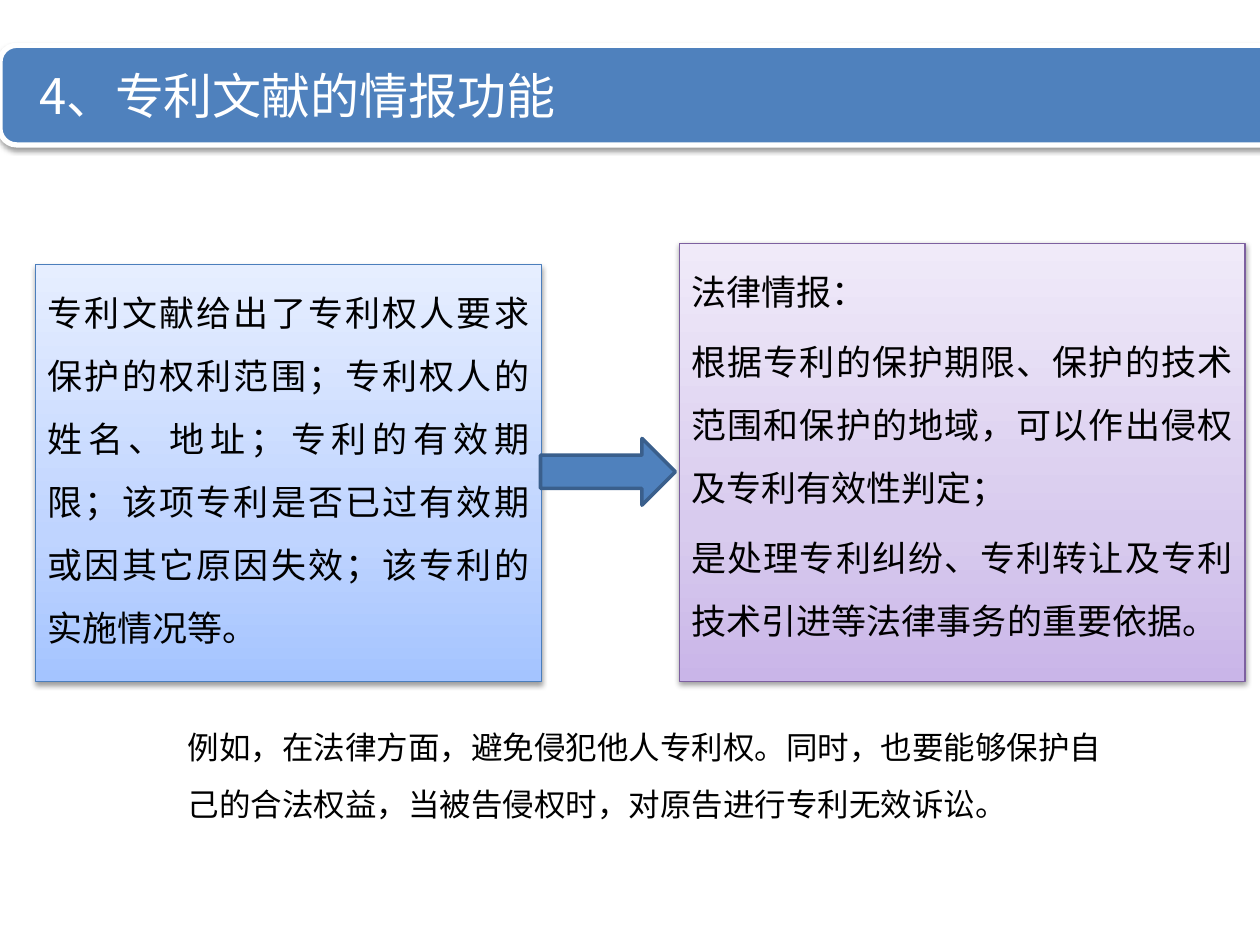
import copy

import pptx
import pptx.dml.color
import pptx.enum.shapes
import pptx.enum.text
import pptx.oxml
import pptx.oxml.ns
import pptx.util
from pptx.util import Inches

FONT = "Noto Sans CJK SC"
COLORS = {
    "black": "000000", "white": "FFFFFF",
    "blue": "4F81BD", "arrow_line": "3A5F8C",
    "source_line": "4B7EBC", "law_line": "7D60A0",
}
TITLE = "4、专利文献的情报功能"
TITLE_AT = (0, 0.36, 10.67, 0.79)
PANELS = [
    {
        "at": (0.28, 2.1, 4.02, 3.31),
        "gradient": ("A4C4FF", "BFD4FF", "E6EEFF"),
        "line": "source_line",
        "texts": ["专利文献给出了专利权人要求保护的权利范围；专利权人的姓名、地址；专利的有效期限；该项专利是否已过有效期或因其它原因失效；该专利的实施情况等。"],
    },
    {
        "at": (5.39, 1.93, 4.49, 3.48),
        "gradient": ("C9B5E8", "D8CBEE", "F0EAF9"),
        "line": "law_line",
        "texts": [
            "法律情报：",
            "根据专利的保护期限、保护的技术范围和保护的地域，可以作出侵权及专利有效性判定；",
            "是处理专利纠纷、专利转让及专利技术引进等法律事务的重要依据。",
        ],
    },
]
STOPS = (0, 0.35, 1)
EXAMPLE = "例如，在法律方面，避免侵犯他人专利权。同时，也要能够保护自己的合法权益，当被告侵权时，对原告进行专利无效诉讼。"

ALIGN = pptx.enum.text.PP_ALIGN
ANCHOR = pptx.enum.text.MSO_ANCHOR
SHAPE = pptx.enum.shapes.MSO_SHAPE
qn = pptx.oxml.ns.qn


def rgb(value):
    return pptx.dml.color.RGBColor.from_string(value)


def outline(shape, color, width):
    shape.line.color.rgb = rgb(COLORS[color])
    shape.line.width = pptx.util.Pt(width)


def solid(shape, color):
    shape.fill.solid()
    shape.fill.fore_color.rgb = rgb(COLORS[color])


def add_shadow(shape):
    shape.shadow.inherit = False
    effects = shape._element.spPr.find(qn("a:effectLst"))
    effects.append(pptx.oxml.parse_xml(
        f'<a:outerShdw {pptx.oxml.ns.nsdecls("a")} blurRad="40000" dist="20000" '
        f'dir="5400000" rotWithShape="0"><a:srgbClr val="{COLORS["black"]}">'
        '<a:alpha val="38000"/></a:srgbClr></a:outerShdw>'))


def fill_gradient(shape, colors):
    shape.fill.gradient()
    shape.fill.gradient_angle = 90
    stops = shape._element.spPr.find(".//" + qn("a:gsLst"))
    stops.append(copy.deepcopy(stops[-1]))
    for stop, position, color in zip(shape.fill.gradient_stops, STOPS, colors):
        stop.position = position
        stop.color.rgb = rgb(color)


def write(frame, texts, size, color, align=ALIGN.LEFT, spacing=1.0, anchor=ANCHOR.TOP):
    frame.word_wrap = True
    frame.vertical_anchor = anchor
    for index, text in enumerate(texts):
        para = frame.add_paragraph() if index else frame.paragraphs[0]
        para.alignment = align
        para.line_spacing = spacing
        para.space_before = pptx.util.Pt(4 if index else 0)
        para._p.get_or_add_pPr().set("hangingPunct", "0")
        span = para.add_run()
        span.text = text
        span.font.size = pptx.util.Pt(size)
        span.font.name = FONT
        span.font.color.rgb = rgb(COLORS[color])
        properties = span._r.get_or_add_rPr()
        east_asian = properties.makeelement(qn("a:ea"), {"typeface": FONT})
        properties.find(qn("a:latin")).addnext(east_asian)


def add_title(page):
    area = tuple(map(Inches, TITLE_AT))
    title = page.shapes.title
    title.left, title.top, title.width, title.height = area
    title.text_frame.auto_size = pptx.enum.text.MSO_AUTO_SIZE.NONE
    title.text_frame.margin_left = Inches(0.31)
    write(title.text_frame, [TITLE], 28, "white", anchor=ANCHOR.MIDDLE)

    bar = page.shapes.add_shape(SHAPE.ROUNDED_RECTANGLE, *area)
    solid(bar, "blue")
    outline(bar, "white", 3)
    add_shadow(bar)
    title._element.addprevious(bar._element)


def add_panel(page, panel):
    box = page.shapes.add_shape(SHAPE.RECTANGLE, *map(Inches, panel["at"]))
    fill_gradient(box, panel["gradient"])
    outline(box, panel["line"], 0.75)
    add_shadow(box)
    write(box.text_frame, panel["texts"], 20, "black", ALIGN.JUSTIFY, 1.5)


def main():
    deck = pptx.Presentation()
    deck.slide_width, deck.slide_height = Inches(10), Inches(7.5)
    page = deck.slides.add_slide(deck.slide_layouts[5])

    add_title(page)
    for panel in PANELS:
        add_panel(page, panel)

    arrow = page.shapes.add_shape(SHAPE.RIGHT_ARROW, *map(Inches, (4.29, 3.48, 1.07, 0.53)))
    solid(arrow, "blue")
    outline(arrow, "arrow_line", 2)
    arrow.shadow.inherit = False

    example = page.shapes.add_textbox(*map(Inches, (1.39, 5.58, 7.56, 0.96)))
    write(example.text_frame, [EXAMPLE], 18, "black", spacing=1.5)
    example.text_frame.auto_size = pptx.enum.text.MSO_AUTO_SIZE.SHAPE_TO_FIT_TEXT

    deck.save("out.pptx")


if __name__ == "__main__":
    main()
